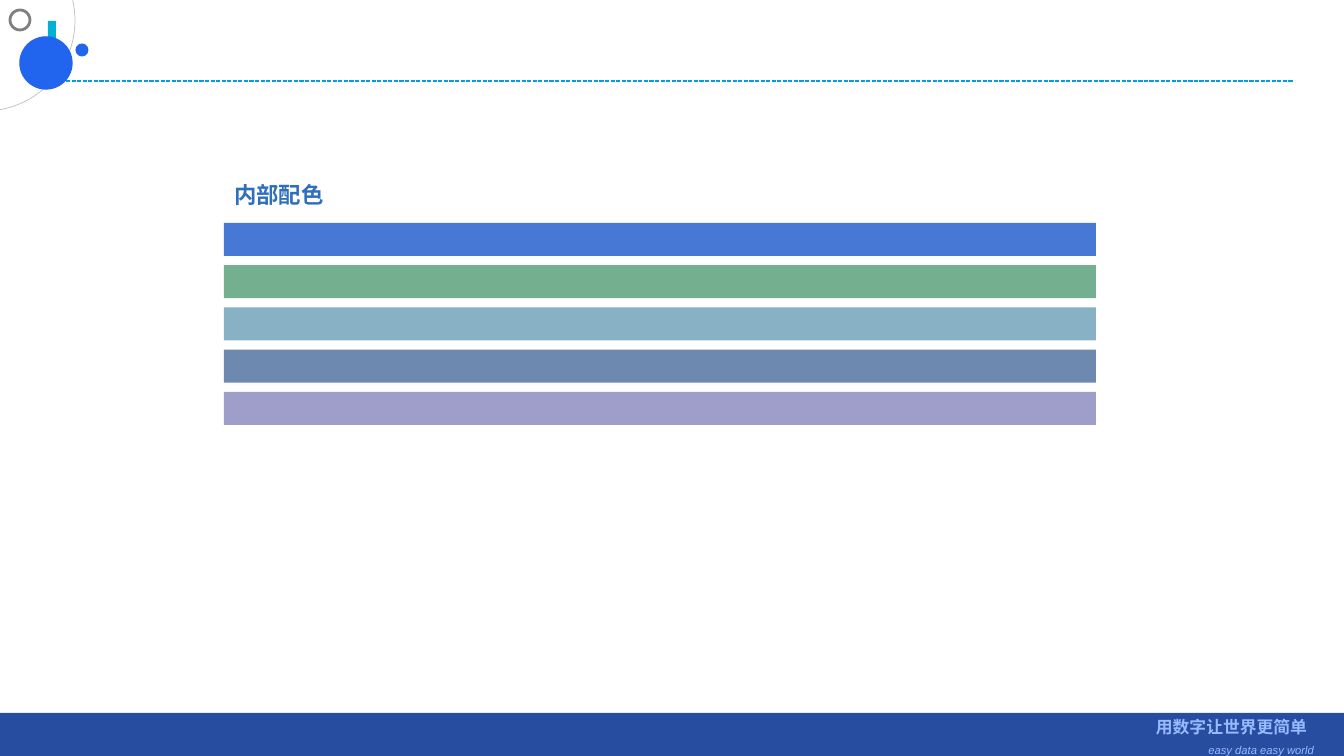
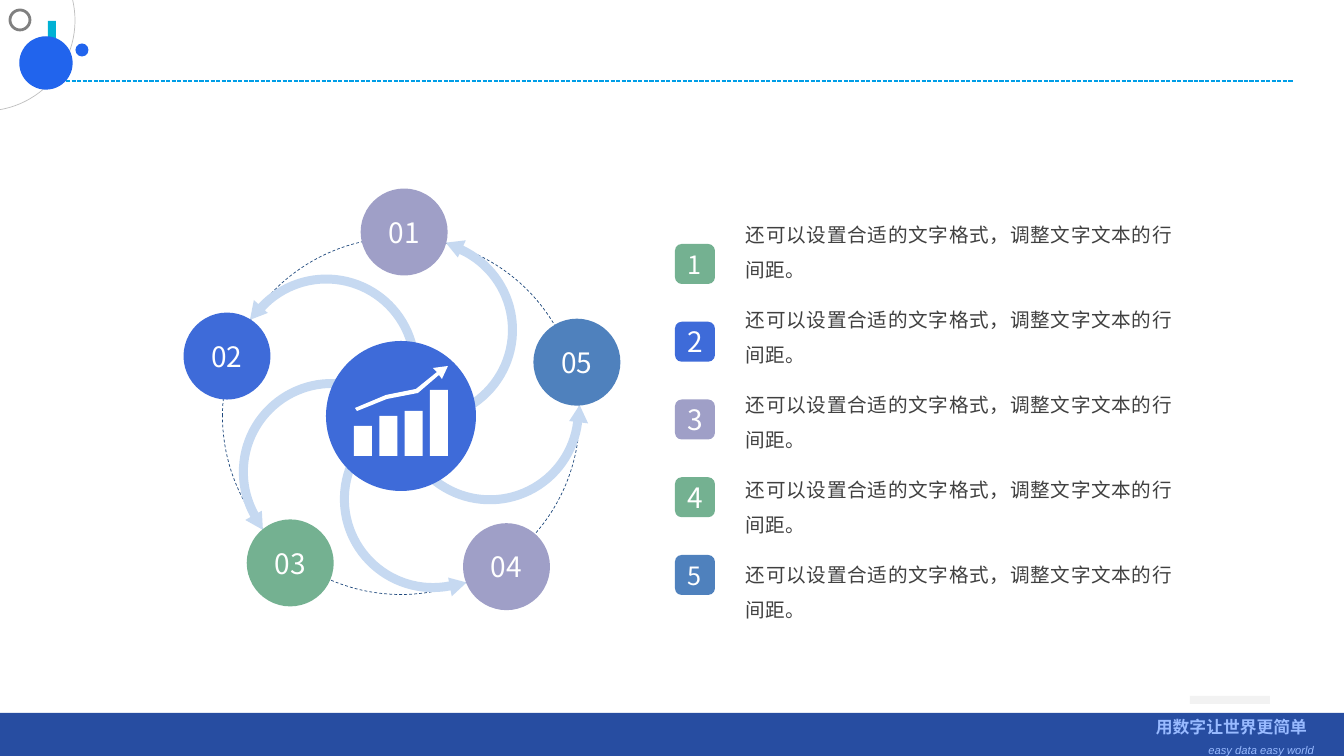
"""Build a palette slide and a five-step cycle slide on one shared layout."""
from math import cos, radians, sin, tan

from lxml.etree import SubElement
from pptx import Presentation
from pptx.dml.color import RGBColor
from pptx.enum.dml import MSO_LINE
from pptx.enum.shapes import MSO_CONNECTOR, MSO_SHAPE
from pptx.enum.text import MSO_ANCHOR, MSO_AUTO_SIZE, PP_ALIGN
from pptx.oxml.ns import qn
from pptx.util import Emu, Pt

EMU_PER_PX = 914400 / 100.8
WIDTH, HEIGHT = 1344, 756
CJK_FONT, LATIN_FONT = "Noto Sans CJK SC", "Arial"
WHITE, BRIGHT_BLUE, CYAN, LINE_BLUE = "FFFFFF", "2164ED", "00B1D4", "009EE7"
FOOTER_BLUE, FOOTER_TEXT, TITLE_BLUE = "274DA1", "98BAFF", "3070BA"
BLUE, GREEN, PURPLE, STEEL = "3E6BD9", "74B191", "9F9FC7", "4F81BD"
PALE_BLUE, NAVY, BODY_GREY = "C6D9F1", "1F497D", "404040"
LIGHT_GREY, ARC_GREY, RING_GREY = "F2F2F2", "BFBFBF", "808080"

FOOTER_LINES = [
    ("用数字让世界更简单", 12, True, False, 7, 0),
    ("easy data easy world", 8, False, True, 0, 4.5),
]
PALETTE_TITLE = "内部配色"
PALETTE = ["4878D6", "74B08F", "88B1C5", "6E89B0", "9F9ECB"]
STEPS = [("01", PURPLE), ("02", BLUE), ("03", GREEN), ("04", PURPLE), ("05", STEEL)]
BODY_TEXT = "还可以设置合适的文字格式，调整文字文本的行间距。"
ITEMS = [
    ("1", GREEN, 18, BODY_TEXT),
    ("2", BLUE, 20, BODY_TEXT),
    ("3", PURPLE, 20, BODY_TEXT),
    ("4", GREEN, 20, BODY_TEXT),
    ("5", STEEL, 18, BODY_TEXT),
]

HUB = (401, 416)
STEP_ANGLE = 72
ICON_BAR_HEIGHTS = [30, 40, 45, 66]
ICON_BASE = 456
ICON_ARROW = [
    (357, 411), (387, 399), (418, 393), (439, 375), (442, 379), (448, 366),
    (433, 368), (437, 372), (416, 389), (386, 395), (355, 408),
]


def px(value):
    return Emu(round(value * EMU_PER_PX))


def color(value):
    return RGBColor.from_string(value)


def spread(first, last, count):
    return [first + index * (last - first) / (count - 1) for index in range(count)]


def polar(center, radius, angle):
    turn = radians(angle)
    return center[0] + radius * cos(turn), center[1] + radius * sin(turn)


def paint(shape, fill=None, line=None, weight=1):
    shape.shadow.inherit = False
    if fill:
        shape.fill.solid()
        shape.fill.fore_color.rgb = color(fill)
    else:
        shape.fill.background()
    if line:
        shape.line.color.rgb = color(line)
        shape.line.width = Pt(weight)
    else:
        shape.line.fill.background()
    return shape


def add_figure(slide, kind, left, top, width, height, fill=None, line=None, weight=1):
    shape = slide.shapes.add_shape(kind, px(left), px(top), px(width), px(height))
    return paint(shape, fill, line, weight)


def add_disc(slide, center, diameter, fill=None, line=None, weight=1):
    left, top = (value - diameter / 2 for value in center)
    return add_figure(slide, MSO_SHAPE.OVAL, left, top, diameter, diameter, fill, line, weight)


def add_outline(slide, start, segments, fill):
    """Draw a closed outline; a segment of three points is a cubic curve."""
    builder = slide.shapes.build_freeform(px(start[0]), px(start[1]), scale=1.0)
    builder.add_line_segments([(px(x), px(y)) for x, y in (s[-1] for s in segments)], close=True)
    shape = paint(builder.convert_to_shape(), fill)
    lines = list(shape.element.iter(qn("a:lnTo")))
    for line, segment in zip(lines, segments):
        if len(segment) == 3:
            line.tag = qn("a:cubicBezTo")
            end = line[0]
            for x, y in segment[:2]:
                control = SubElement(line, qn("a:pt"))
                control.set("x", str(px(x) - shape.left))
                control.set("y", str(px(y) - shape.top))
            line.append(end)


def add_text(paragraph, text, size, ink, align, font=CJK_FONT, bold=False, italic=False):
    paragraph.alignment = align
    run = paragraph.add_run()
    run.text = text
    run.font.name = font
    run.font.size = Pt(size)
    run.font.bold = bold
    run.font.italic = italic
    run.font.color.rgb = color(ink)
    SubElement(run.font._element, qn("a:ea")).set("typeface", CJK_FONT)


def clear_margins(frame):
    frame.margin_left = frame.margin_right = frame.margin_top = frame.margin_bottom = 0


def add_label(shape, text, size):
    frame = shape.text_frame
    frame.word_wrap = False
    frame.vertical_anchor = MSO_ANCHOR.MIDDLE
    clear_margins(frame)
    add_text(frame.paragraphs[0], text, size, WHITE, PP_ALIGN.CENTER)


def add_text_box(slide, left, top, width, height):
    frame = slide.shapes.add_textbox(px(left), px(top), px(width), px(height)).text_frame
    frame.word_wrap = True
    return frame


def add_rule(slide, left, right, top):
    rule = slide.shapes.add_connector(
        MSO_CONNECTOR.STRAIGHT, px(left), px(top), px(right), px(top))
    rule.line.color.rgb = color(LINE_BLUE)
    rule.line.width = Pt(1)
    rule.line.dash_style = MSO_LINE.SQUARE_DOT
    SubElement(rule.element.spPr, qn("a:effectLst"))


def draw_frame(slide):
    add_figure(slide, MSO_SHAPE.RECTANGLE, 48, 21, 8, 59, CYAN)
    add_rule(slide, 55, 1293, 81)
    add_figure(slide, MSO_SHAPE.RECTANGLE, 0, 713, WIDTH, 43, FOOTER_BLUE)
    frame = add_text_box(slide, 1145, 712, 179, 44)
    for index, (text, size, bold, italic, indent, gap) in enumerate(FOOTER_LINES):
        paragraph = frame.add_paragraph() if index else frame.paragraphs[0]
        add_text(paragraph, text, size, FOOTER_TEXT, PP_ALIGN.RIGHT, LATIN_FONT, bold, italic)
        paragraph._p.get_or_add_pPr().set("marR", str(px(indent)))
        if gap:
            paragraph.space_before = Pt(gap)
    arc = add_figure(slide, MSO_SHAPE.ARC, -106, -70, 181, 181, None, ARC_GREY, 0.5)
    for index, angle in enumerate((346, 81)):
        arc.adjustments[index] = angle * 0.6
    add_disc(slide, (46, 63), 52, BRIGHT_BLUE, BRIGHT_BLUE)
    add_disc(slide, (82, 50), 13, BRIGHT_BLUE)
    add_disc(slide, (20, 20), 20, None, RING_GREY, 2)


def move_to_layout(slide, layout):
    for placeholder in list(layout.placeholders):
        if placeholder.placeholder_format.idx:
            layout.shapes.element.remove(placeholder.element)
    for shape in list(slide.shapes):
        if not shape.is_placeholder:
            layout.shapes.element.append(shape.element)


def draw_palette(slide):
    title = slide.shapes.title
    title.left, title.top, title.width, title.height = px(224), px(176), px(117), px(37)
    frame = title.text_frame
    frame.auto_size = MSO_AUTO_SIZE.NONE
    frame.vertical_anchor = MSO_ANCHOR.MIDDLE
    add_text(frame.paragraphs[0], PALETTE_TITLE, 16, TITLE_BLUE, PP_ALIGN.LEFT, bold=True)
    for top, fill in zip(spread(223, 392, len(PALETTE)), PALETTE):
        add_figure(slide, MSO_SHAPE.RECTANGLE, 224, top, 872, 33, fill)


def arc_segments(center, radius, first, last, count=3):
    angles = spread(first, last, count + 1)
    reach = radius * 4 / 3 * tan(radians((last - first) / count / 4))
    segments = []
    for begin, end in zip(angles, angles[1:]):
        start_point, end_point = polar(center, radius, begin), polar(center, radius, end)
        segments.append(
            (polar(start_point, reach, begin + 90), polar(end_point, reach, end - 90), end_point))
    return segments


def add_swirl(slide, turn):
    center = polar(HUB, 89, turn - 75)
    tail, neck = turn + 105, turn - 65
    head = [(99, neck), (90, turn - 76), (80, neck), (84, neck)]
    segments = arc_segments(center, 93, tail, neck)
    segments += [(polar(center, radius, angle),) for radius, angle in head]
    segments += arc_segments(center, 84, neck, tail)
    add_outline(slide, polar(center, 93, tail), segments, PALE_BLUE)


def draw_cycle(slide):
    ring = add_disc(slide, HUB, 357, None, NAVY, 0.5)
    ring.line.dash_style = MSO_LINE.DASH
    turns = [-STEP_ANGLE * index for index in range(len(STEPS))]
    for turn in turns:
        add_swirl(slide, turn)
    add_disc(slide, HUB, 150, BLUE)
    add_outline(slide, ICON_ARROW[0], [(point,) for point in ICON_ARROW[1:]], WHITE)
    for left, height in zip(spread(354, 430, len(ICON_BAR_HEIGHTS)), ICON_BAR_HEIGHTS):
        add_figure(slide, MSO_SHAPE.RECTANGLE, left, ICON_BASE - height, 18, height, WHITE)
    for turn, (text, fill) in zip(turns, STEPS):
        add_label(add_disc(slide, polar(HUB, 184, turn - 89), 87, fill), text, 20)


def draw_items(slide):
    badge_tops = spread(244, 555, len(ITEMS))
    text_tops = spread(211, 551, len(ITEMS))
    for badge_top, text_top, (number, fill, size, text) in zip(badge_tops, text_tops, ITEMS):
        badge = add_figure(
            slide, MSO_SHAPE.ROUNDED_RECTANGLE, 675, badge_top, 40, 40, fill)
        add_label(badge, number, size)
        frame = add_text_box(slide, 746, text_top, 426, 68)
        clear_margins(frame)
        paragraph = frame.paragraphs[0]
        paragraph.line_spacing = 1.5
        add_text(paragraph, text, 14, BODY_GREY, PP_ALIGN.JUSTIFY)


def main():
    presentation = Presentation()
    presentation.slide_width, presentation.slide_height = px(WIDTH), px(HEIGHT)
    layout = presentation.slide_layouts[5]
    palette_slide = presentation.slides.add_slide(layout)
    draw_frame(palette_slide)
    move_to_layout(palette_slide, layout)
    draw_palette(palette_slide)

    cycle_slide = presentation.slides.add_slide(layout)
    cycle_slide.shapes.element.remove(cycle_slide.shapes.title.element)
    add_figure(cycle_slide, MSO_SHAPE.RECTANGLE, 1190, 696, 80, 8, LIGHT_GREY)
    draw_cycle(cycle_slide)
    draw_items(cycle_slide)
    presentation.save("out.pptx")


if __name__ == "__main__":
    main()
